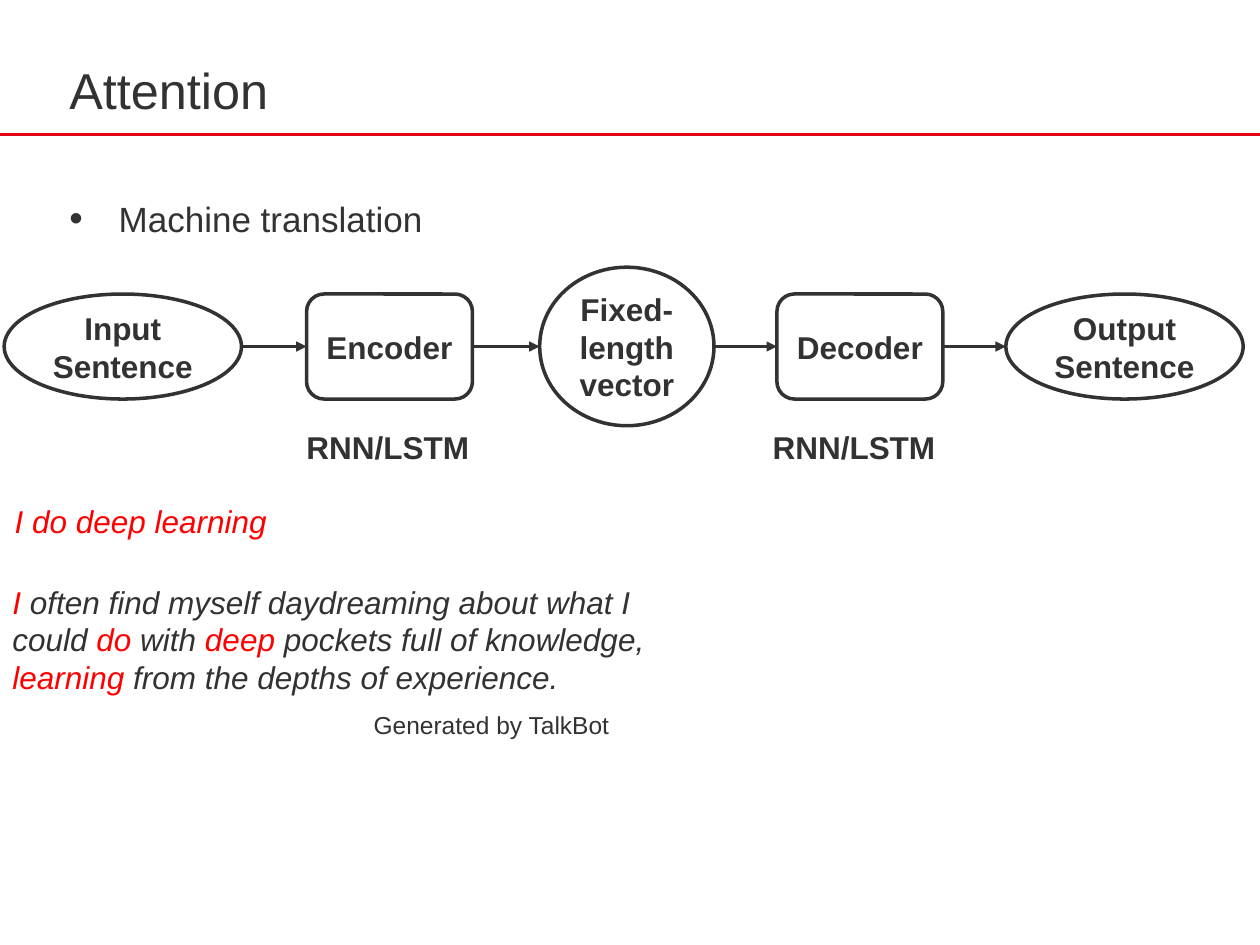
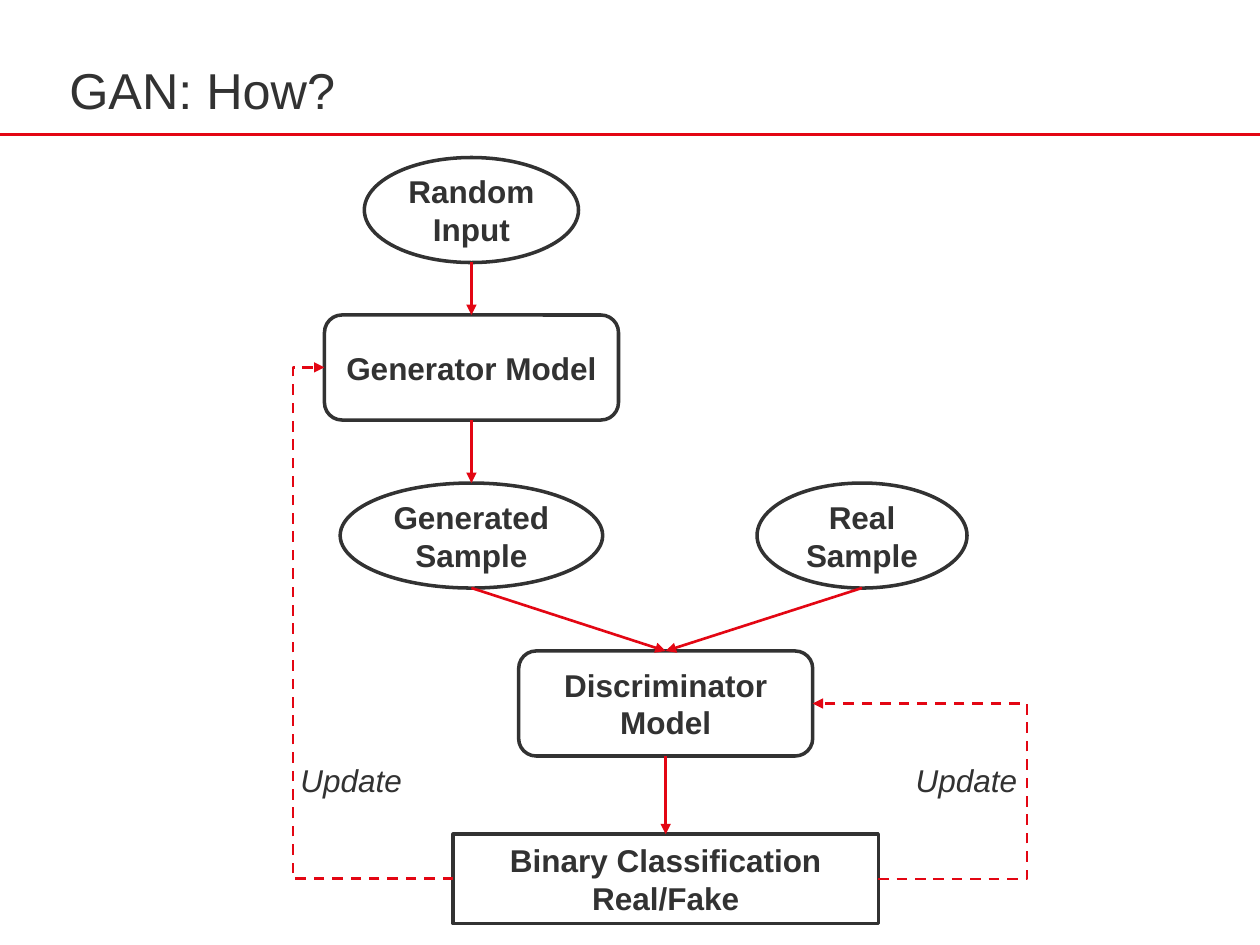
from dataclasses import dataclass

from lxml import etree
from pptx import Presentation
from pptx.dml.color import RGBColor
from pptx.enum.dml import MSO_LINE
from pptx.enum.shapes import MSO_CONNECTOR, MSO_SHAPE
from pptx.enum.text import MSO_ANCHOR, MSO_AUTO_SIZE, PP_ALIGN
from pptx.oxml.ns import qn
from pptx.slide import Slide
from pptx.text.text import TextFrame
from pptx.util import Emu, Inches, Pt

OVAL, ROUNDED, BOX = MSO_SHAPE.OVAL, MSO_SHAPE.ROUNDED_RECTANGLE, MSO_SHAPE.RECTANGLE
STRAIGHT, ELBOW = MSO_CONNECTOR.STRAIGHT, MSO_CONNECTOR.ELBOW
LEFT, CENTER = PP_ALIGN.LEFT, PP_ALIGN.CENTER
TOP, MIDDLE = MSO_ANCHOR.TOP, MSO_ANCHOR.MIDDLE

COLORS = {"ink": "323232", "paper": "FFFFFF", "rule": "E30613", "highlight": "FF0000"}
FONT = "Arial"
TITLE_ONLY = 5

# Grid: 120 columns by 90 rows, so one cell is a twelfth of an inch
SLIDE_WIDTH, SLIDE_HEIGHT = Inches(10), Inches(7.5)
COLUMNS, ROWS = 120, 90
NODE_ROWS = 10
RULE_ROW = 12.8
INSET_X, INSET_Y = 1.2, 0.6

Point = tuple[float, float]


@dataclass(frozen=True)
class Area:
    """A rectangle in grid columns and rows."""
    left: float
    top: float
    width: float
    height: float

    def lengths(self) -> tuple[Emu, Emu, Emu, Emu]:
        return (column(self.left), row(self.top), column(self.width), row(self.height))


@dataclass(frozen=True)
class Node:
    """A box of a diagram, placed by its centre."""
    text: str
    kind: MSO_SHAPE
    x: float
    y: float
    width: float
    height: float = NODE_ROWS

    @property
    def area(self) -> Area:
        return Area(self.x - self.width / 2, self.y - self.height / 2, self.width, self.height)

    def side(self, across: int, down: int) -> Point:
        """Middle of a side: (1, 0) is right, (0, -1) is top."""
        return self.x + across * self.width / 2, self.y + down * self.height / 2


TITLE_AREA = Area(6.6, 5.3, 106.3, 6.4)
RIGHT, LEFT_SIDE, BOTTOM, TOP_SIDE = (1, 0), (-1, 0), (0, 1), (0, -1)


def column(count: float) -> Emu:
    return Emu(round(SLIDE_WIDTH * count / COLUMNS))


def row(count: float) -> Emu:
    return Emu(round(SLIDE_HEIGHT * count / ROWS))


def color(name: str) -> RGBColor:
    return RGBColor.from_string(COLORS[name])


# Text
def add_text_shadow(run_properties) -> None:
    effects = etree.Element(qn("a:effectLst"))
    shadow = etree.SubElement(effects, qn("a:outerShdw"), blurRad="38100", dist="38100",
                              dir="2700000", algn="tl")
    shade = etree.SubElement(shadow, qn("a:srgbClr"), val="000000")
    etree.SubElement(shade, qn("a:alpha"), val="43000")
    run_properties.find(qn("a:solidFill")).addnext(effects)


def write(frame: TextFrame, text: str, *, size: float = 18, bold: bool = False,
          italic: bool = False, ink: str = "ink", align: PP_ALIGN = LEFT,
          anchor: MSO_ANCHOR = TOP, inset: bool = True, wrap: bool = True,
          shadow: bool = False) -> None:
    """Fill a frame; line breaks part paragraphs, and bars enclose highlighted words."""
    frame.auto_size = MSO_AUTO_SIZE.NONE
    frame.word_wrap = wrap
    frame.vertical_anchor = anchor
    frame.margin_left = frame.margin_right = column(INSET_X if inset else 0)
    frame.margin_top = frame.margin_bottom = row(INSET_Y if inset else 0)
    for number, line in enumerate(text.split("\n")):
        paragraph = frame.add_paragraph() if number else frame.paragraphs[0]
        paragraph.alignment = align
        for index, piece in enumerate(line.split("|")):
            if not piece:
                continue
            run = paragraph.add_run()
            run.text = piece
            font = run.font
            font.name, font.size, font.bold, font.italic = FONT, Pt(size), bold, italic
            font.color.rgb = color("highlight" if index % 2 else ink)
            if shadow:
                add_text_shadow(run.font._element)


def add_text(slide: Slide, area: Area, text: str, **style) -> TextFrame:
    frame = slide.shapes.add_textbox(*area.lengths()).text_frame
    write(frame, text, **style)
    return frame


def add_bullet(slide: Slide, area: Area, text: str) -> None:
    frame = add_text(slide, area, text, size=20, inset=False, shadow=True)
    properties = frame.paragraphs[0]._p.get_or_add_pPr()
    indent = column(4.7)
    properties.set("marL", str(indent))
    properties.set("indent", str(-indent))
    etree.SubElement(properties, qn("a:buSzPct"), val="110000")
    etree.SubElement(properties, qn("a:buFont"), typeface=FONT)
    etree.SubElement(properties, qn("a:buChar"), char="•")


# Diagram parts
def add_node(slide: Slide, node: Node) -> None:
    shape = slide.shapes.add_shape(node.kind, *node.area.lengths())
    shape.shadow.inherit = False
    shape.fill.solid()
    shape.fill.fore_color.rgb = color("paper")
    shape.line.color.rgb = color("ink")
    shape.line.width = Pt(2)
    write(shape.text_frame, node.text, bold=True, align=CENTER, anchor=MIDDLE)


def add_line(slide: Slide, start: Point, end: Point, *, ink: str = "rule",
             arrow: bool = True, via: float | None = None) -> None:
    """Draw a straight line, or a dashed elbow that turns at column via."""
    kind = STRAIGHT if via is None else ELBOW
    connector = slide.shapes.add_connector(kind, column(start[0]), row(start[1]),
                                           column(end[0]), row(end[1]))
    connector.line.color.rgb = color(ink)
    connector.line.width = Pt(1.5)
    properties = connector._element.spPr
    if via is not None:
        connector.line.dash_style = MSO_LINE.DASH
        turn = round(100000 * (via - start[0]) / (end[0] - start[0]))
        adjustments = properties.find(qn("a:prstGeom")).get_or_add_avLst()
        etree.SubElement(adjustments, qn("a:gd"), name="adj1", fmla=f"val {turn}")
    if arrow:
        etree.SubElement(connector.line._get_or_add_ln(), qn("a:tailEnd"), type="triangle")
    etree.SubElement(properties, qn("a:effectLst"))


def add_titled_slide(presentation: Presentation, title: str) -> Slide:
    slide = presentation.slides.add_slide(presentation.slide_layouts[TITLE_ONLY])
    add_line(slide, (0, RULE_ROW), (COLUMNS, RULE_ROW), arrow=False)
    placeholder = slide.shapes.title
    placeholder.left, placeholder.top, placeholder.width, placeholder.height = TITLE_AREA.lengths()
    write(placeholder.text_frame, title, size=28.8, anchor=MIDDLE, inset=False, shadow=True)
    return slide


# Slides
def build_attention(presentation: Presentation) -> None:
    slide = add_titled_slide(presentation, "Attention")
    add_bullet(slide, Area(6.6, 18.8, 106.3, 5), "Machine translation")

    # Translation chain
    middle = 33
    chain = [
        Node("Input Sentence", OVAL, 11.7, middle, 22.6),
        Node("Encoder", ROUNDED, 37.1, middle, 15.8),
        Node("Fixed-length\nvector", OVAL, 59.7, middle, 16.6, 15.1),
        Node("Decoder", ROUNDED, 81.9, middle, 15.8),
        Node("Output Sentence", OVAL, 107.1, middle, 22.6),
    ]
    for node in chain:
        add_node(slide, node)
    for source, target in zip(chain, chain[1:]):
        add_line(slide, source.side(*RIGHT), target.side(*LEFT_SIDE), ink="ink")
    for left in (28, 72.4):
        add_text(slide, Area(left, 40.2, 19.8, 4.8), "RNN/LSTM", bold=True)

    # Example sentences
    add_text(slide, Area(0, 47.2, 26.8, 4.8), "I do deep learning",
             italic=True, ink="highlight", align=CENTER)
    add_text(slide, Area(0, 54.9, 63, 12.1),
             "|I| often find myself daydreaming about what I could |do| with |deep| "
             "pockets full of knowledge, |learning| from the depths of experience.",
             italic=True)
    add_text(slide, Area(34.4, 67, 28.6, 4), "Generated by TalkBot", size=14)


def build_gan(presentation: Presentation) -> None:
    slide = add_titled_slide(presentation, "GAN: How?")

    # Nodes on the generator and discriminator axes
    generator_x, discriminator_x = 44.9, 63.4
    random_input = Node("Random Input", OVAL, generator_x, 20, 20.4)
    generator = Node("Generator Model", ROUNDED, generator_x, 35, 28)
    generated = Node("Generated Sample", OVAL, generator_x, 51, 25)
    real = Node("Real Sample", OVAL, 82.1, 51, 20)
    discriminator = Node("Discriminator Model", ROUNDED, discriminator_x, 67, 28)
    classification = Node("Binary Classification Real/Fake", BOX, discriminator_x, 83.7, 40.5, 8.5)
    for node in (random_input, generator, generated, real, discriminator, classification):
        add_node(slide, node)

    # Forward flow
    for source, target in ((random_input, generator), (generator, generated),
                           (generated, discriminator), (real, discriminator),
                           (discriminator, classification)):
        add_line(slide, source.side(*BOTTOM), target.side(*TOP_SIDE))

    # Feedback loops
    for target, side, turn, label_left in ((generator, LEFT_SIDE, 27.9, 28.6),
                                           (discriminator, RIGHT, 97.8, 87.2)):
        add_line(slide, classification.side(*side), target.side(*side), via=turn)
        add_text(slide, Area(label_left, 72.5, 9.7, 3.6), "Update",
                 italic=True, inset=False, wrap=False)


def main() -> None:
    presentation = Presentation()
    presentation.slide_width, presentation.slide_height = SLIDE_WIDTH, SLIDE_HEIGHT
    build_attention(presentation)
    build_gan(presentation)
    presentation.save("out.pptx")


if __name__ == "__main__":
    main()
